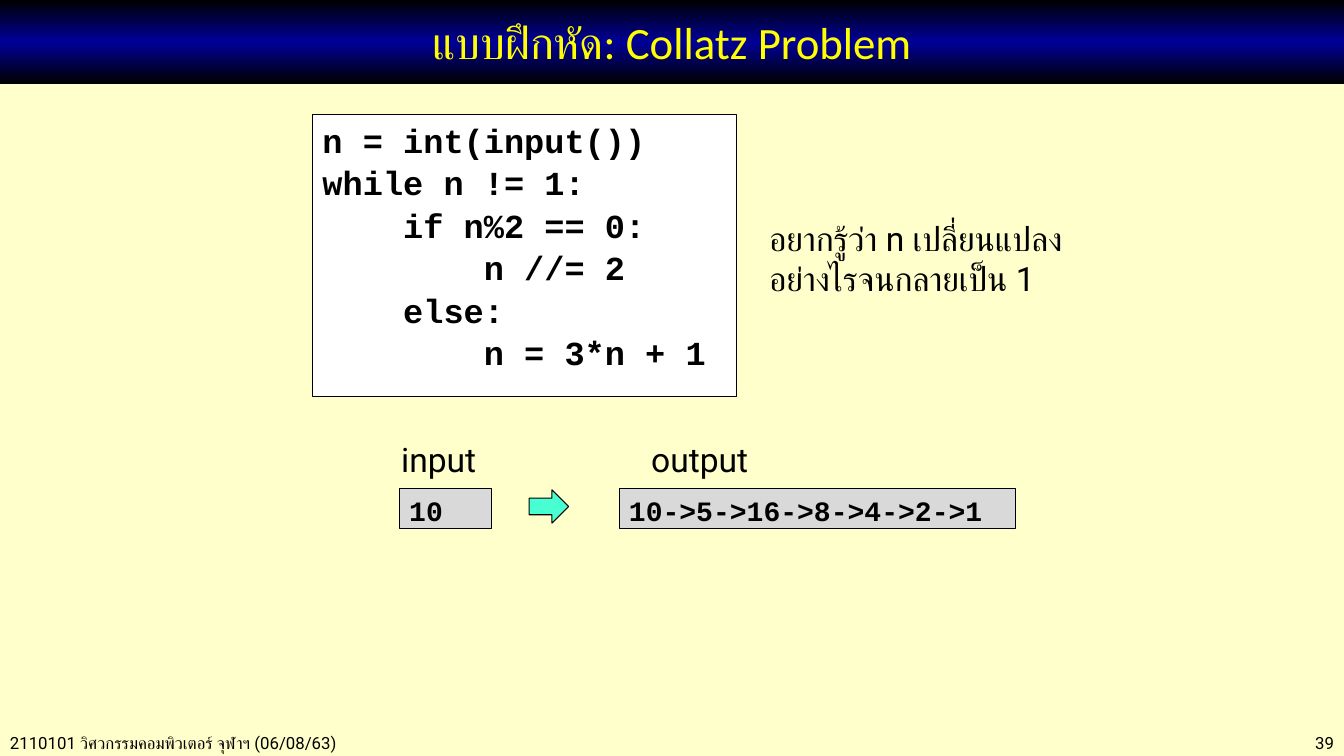
from copy import deepcopy

from pptx import Presentation
from pptx.dml.color import RGBColor
from pptx.enum.shapes import MSO_SHAPE
from pptx.enum.text import MSO_ANCHOR, PP_ALIGN
from pptx.util import Inches, Pt

WIDTH, HEIGHT = Inches(13.33), Inches(7.5)
BLACK = RGBColor(0x00, 0x00, 0x00)
NAVY = RGBColor(0x00, 0x00, 0x99)
YELLOW = RGBColor(0xFF, 0xFF, 0x00)
CREAM = RGBColor(0xFF, 0xFF, 0xCC)
WHITE = RGBColor(0xFF, 0xFF, 0xFF)
GREY = RGBColor(0xD9, 0xD9, 0xD9)
MINT = RGBColor(0x47, 0xFF, 0xD1)

BODY_FONT, CODE_FONT, TITLE_FONT = "Roboto", "Courier New", "Calibri"
EXAMPLE_TOP, EXAMPLE_HEIGHT = 64.67, 5.2

CODE = """n = int(input())
while n != 1:
    if n%2 == 0:
        n //= 2
    else:
        n = 3*n + 1"""


def area(left, top, width, height):
    """Turn percentages of the slide's size into lengths."""
    return (int(WIDTH * left / 100), int(HEIGHT * top / 100),
            int(WIDTH * width / 100), int(HEIGHT * height / 100))


def write(frame, text, size=24, font=BODY_FONT, color=BLACK, bold=False,
          align=PP_ALIGN.LEFT, anchor=MSO_ANCHOR.TOP, wrap=True, before=0):
    frame.word_wrap = wrap
    frame.vertical_anchor = anchor
    for index, line in enumerate(text.split("\n")):
        para = frame.add_paragraph() if index else frame.paragraphs[0]
        para.alignment = align
        para.space_before = Pt(before)
        span = para.add_run()
        span.text = line
        span.font.size = Pt(size)
        span.font.name = font
        span.font.bold = bold
        span.font.color.rgb = color


def add_title(page, text):
    """Fill the title placeholder as a dark band, brightest in the middle."""
    band = page.shapes.title
    band.left, band.top, band.width, band.height = area(0, 0, 100, 11.07)
    band.fill.gradient()
    band.fill.gradient_angle = 90
    first_stop = band.fill.gradient_stops[0]
    stop_list = band.element.spPr.find(
        ".//{http://schemas.openxmlformats.org/drawingml/2006/main}gsLst")
    stop_list.append(deepcopy(stop_list[0]))
    for stop, position, color in zip(band.fill.gradient_stops,
                                     (0, 0.5, 1), (BLACK, NAVY, BLACK)):
        stop.position = position
        stop.color.rgb = color
    write(band.text_frame, text, size=32, font=TITLE_FONT, color=YELLOW,
          align=PP_ALIGN.CENTER, anchor=MSO_ANCHOR.MIDDLE)


def add_label(page, place, text, **text_format):
    box = page.shapes.add_textbox(*area(*place))
    write(box.text_frame, text, **text_format)


def add_outlined(page, kind, place, color):
    shape = page.shapes.add_shape(kind, *area(*place))
    shape.shadow.inherit = False
    shape.fill.solid()
    shape.fill.fore_color.rgb = color
    shape.line.color.rgb = BLACK
    shape.line.width = Pt(0.75)
    return shape


def add_code(page, place, text, color, size):
    box = add_outlined(page, MSO_SHAPE.RECTANGLE, place, color)
    write(box.text_frame, text, size=size, font=CODE_FONT, bold=True,
          before=1.5)


def main():
    deck = Presentation()
    deck.slide_width, deck.slide_height = WIDTH, HEIGHT
    page = deck.slides.add_slide(deck.slide_layouts[5])
    page.background.fill.solid()
    page.background.fill.fore_color.rgb = CREAM

    add_label(page, (0, 96.27, 39, 4),
              "2110101 วิศวกรรมคอมพิวเตอร์ จุฬาฯ (06/08/63)", size=12)
    add_label(page, (86.2, 96.27, 13.8, 4), "39", size=12,
              align=PP_ALIGN.RIGHT)
    add_title(page, "แบบฝึกหัด: Collatz Problem")

    add_code(page, (23.26, 15.2, 31.58, 37.2), CODE, WHITE, size=24)
    add_label(page, (56.49, 28.13, 27.46, 12.13),
              "อยากรู้ว่า n เปลี่ยนแปลงอย่างไรจนกลายเป็น 1")

    add_label(page, (29.11, 57.45, 7.13, 6.67), "input", wrap=False)
    add_label(page, (47.71, 57.35, 8.78, 6.67), "output", wrap=False)
    for left, width, text in ((29.71, 6.83, "10"),
                              (46.06, 29.48, "10->5->16->8->4->2->1")):
        add_code(page, (left, EXAMPLE_TOP, width, EXAMPLE_HEIGHT), text,
                 GREY, size=20)
    add_outlined(page, MSO_SHAPE.RIGHT_ARROW, (39.38, 64.8, 2.93, 4.4), MINT)

    deck.save("out.pptx")


if __name__ == "__main__":
    main()
